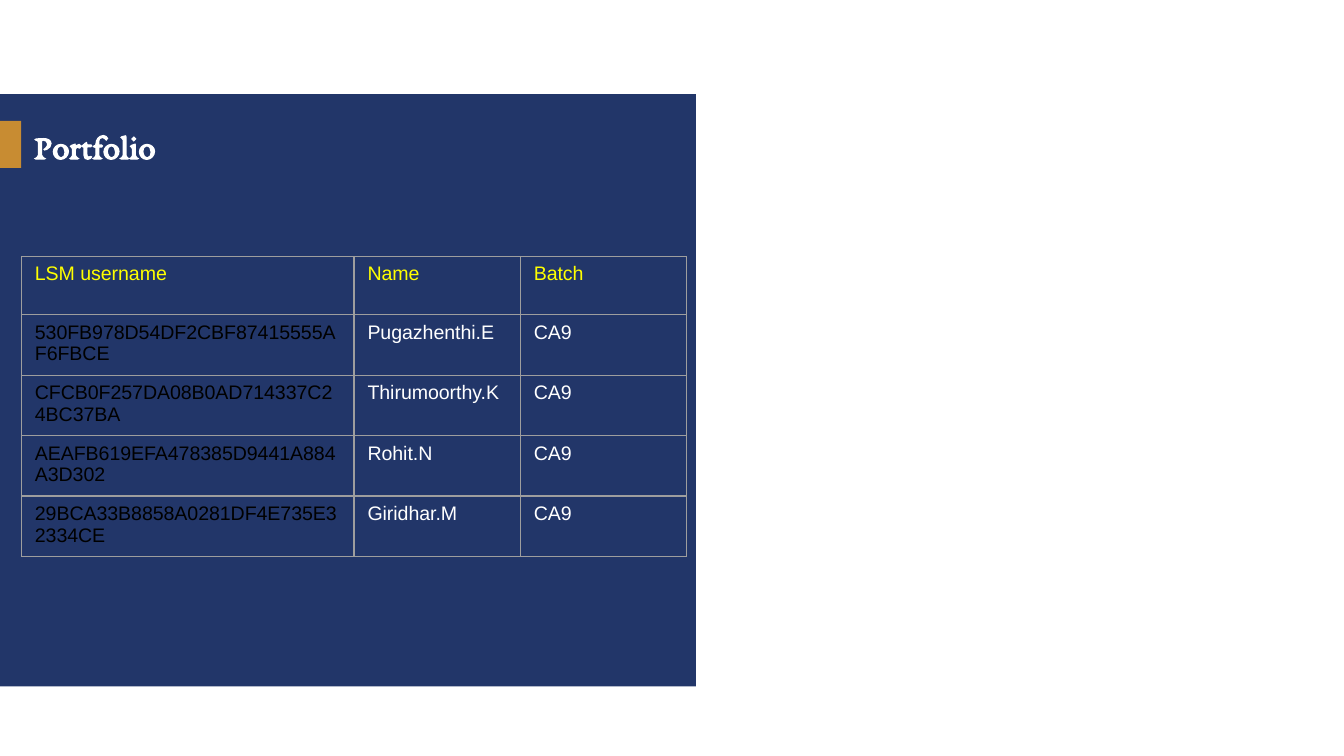
from dataclasses import dataclass

from lxml import etree
from pptx import Presentation
from pptx.dml.color import RGBColor
from pptx.enum.shapes import MSO_SHAPE
from pptx.enum.text import MSO_ANCHOR
from pptx.oxml.ns import qn
from pptx.util import Pt

RECTANGLE = MSO_SHAPE.RECTANGLE
MIDDLE = MSO_ANCHOR.MIDDLE
TOP = MSO_ANCHOR.TOP


@dataclass(frozen=True)
class Theme:
    """Colours, fonts and type sizes of the slide."""
    navy: str = "223669"
    gold: str = "C88C32"
    white: str = "FFFFFF"
    black: str = "000000"
    yellow: str = "FFFF00"
    border: str = "9E9E9E"
    title_font: str = "EB Garamond"
    body_font: str = "Arial"
    title_size: float = 18.3
    body_size: float = 10.5
    border_width: float = 0.75


THEME = Theme()
SLIDE_SIZE = (720, 405)
PANEL_BOX = (0, 50.4, 372.8, 317.3)
ACCENT_BOX = (0, 64.8, 11.3, 25.2)
TITLE_BOX = (11.3, 64.2, 269.3, 27.4)
TABLE_BOX = (11.5, 137.4, 356.4, 156)
COLUMN_SHARES = (2, 1, 1)
HEADINGS = ("LSM username", "Name", "Batch")
BATCH = "CA9"
MEMBERS = (
    ("530FB978D54DF2CBF87415555AF6FBCE", "Pugazhenthi.E"),
    ("CFCB0F257DA08B0AD714337C24BC37BA", "Thirumoorthy.K"),
    ("AEAFB619EFA478385D9441A884A3D302", "Rohit.N"),
    ("29BCA33B8858A0281DF4E735E32334CE", "Giridhar.M"),
)


def to_points(box):
    """Convert a box of numbers to point lengths."""
    return [Pt(length) for length in box]


def add_run(text_frame, text, font_name, size, color, bold=False):
    """Add a styled run to the first paragraph."""
    run = text_frame.paragraphs[0].add_run()
    run.text = text
    run.font.name = font_name
    run.font.size = Pt(size)
    run.font.bold = bold
    run.font.color.rgb = RGBColor.from_string(color)


def add_block(slide, box, color):
    """Place a plain filled rectangle in the box."""
    shape = slide.shapes.add_shape(RECTANGLE, *to_points(box))
    shape.shadow.inherit = False
    shape.fill.solid()
    shape.fill.fore_color.rgb = RGBColor.from_string(color)
    shape.line.fill.background()


def add_title(slide, box, text):
    """Place the slide title in the box."""
    text_frame = slide.shapes.add_textbox(*to_points(box)).text_frame
    text_frame.word_wrap = True
    text_frame.vertical_anchor = MIDDLE
    add_run(text_frame, text, THEME.title_font, THEME.title_size, THEME.white, True)


def set_borders(cell):
    """Draw a thin line on all four sides of a cell."""
    properties = cell._tc.get_or_add_tcPr()
    for index, side in enumerate(("a:lnL", "a:lnR", "a:lnT", "a:lnB")):
        line = etree.Element(qn(side), w=str(Pt(THEME.border_width)))
        fill = etree.SubElement(line, qn("a:solidFill"))
        etree.SubElement(fill, qn("a:srgbClr"), val=THEME.border)
        properties.insert(index, line)


def add_member_table(slide, box):
    """Place the table of members in the box."""
    rows = [HEADINGS] + [(*member, BATCH) for member in MEMBERS]
    frame = slide.shapes.add_table(len(rows), len(HEADINGS), *to_points(box))
    table = frame.table
    table.first_row = False
    table.horz_banding = False
    for column, share in zip(table.columns, COLUMN_SHARES):
        column.width = Pt(box[2] * share / sum(COLUMN_SHARES))
    member_colors = (THEME.black, THEME.white, THEME.white)
    heading_colors = (THEME.yellow,) * len(HEADINGS)
    for row_index, texts in enumerate(rows):
        table.rows[row_index].height = Pt(box[3] / len(rows))
        colors = member_colors if row_index else heading_colors
        for column_index, (text, color) in enumerate(zip(texts, colors)):
            cell = table.cell(row_index, column_index)
            cell.fill.background()
            cell.vertical_anchor = TOP
            set_borders(cell)
            add_run(cell.text_frame, text, THEME.body_font, THEME.body_size, color)


def main():
    """Build the portfolio slide and save it."""
    presentation = Presentation()
    presentation.slide_width, presentation.slide_height = to_points(SLIDE_SIZE)
    slide = presentation.slides.add_slide(presentation.slide_layouts[6])
    add_block(slide, PANEL_BOX, THEME.navy)
    add_block(slide, ACCENT_BOX, THEME.gold)
    add_title(slide, TITLE_BOX, "Portfolio")
    add_member_table(slide, TABLE_BOX)
    presentation.save("out.pptx")


if __name__ == "__main__":
    main()
